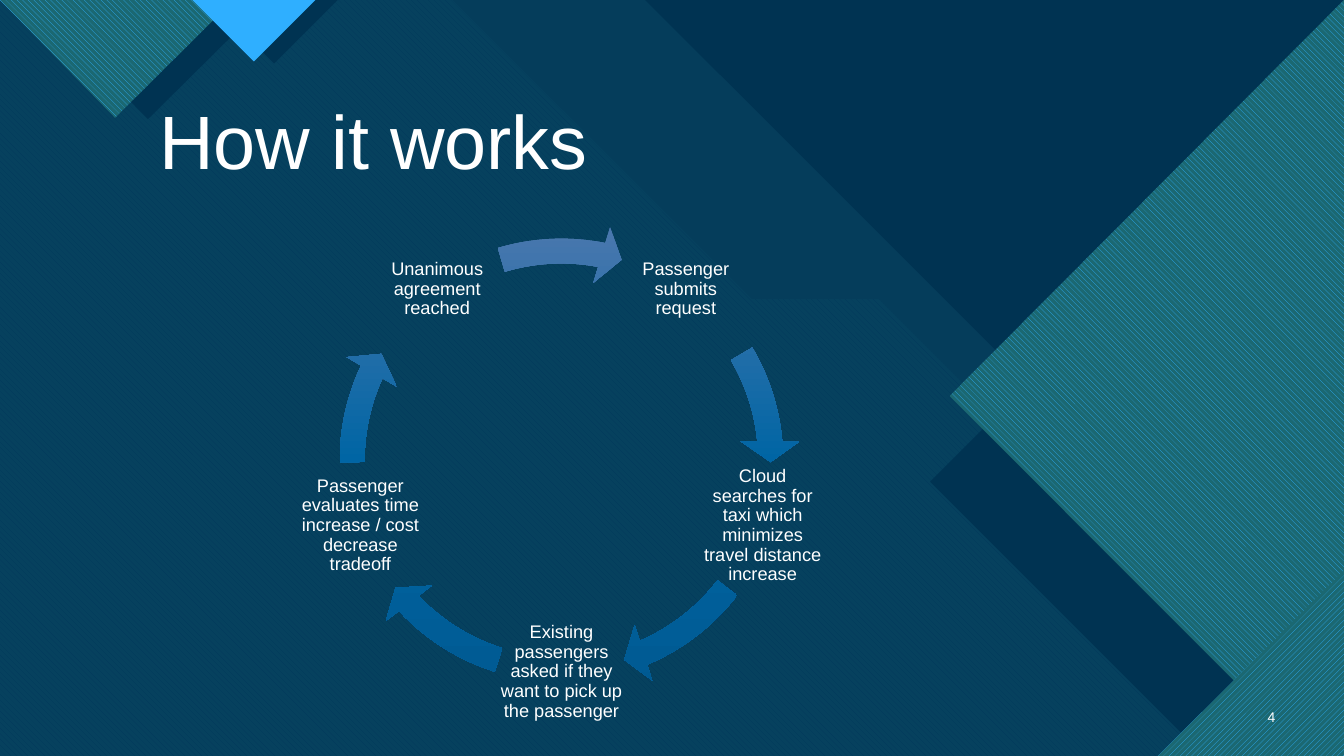
import copy
import math

import pptx
import pptx.dml.color
import pptx.enum.dml
import pptx.enum.shapes
import pptx.enum.text
import pptx.oxml
import pptx.util

Cm = pptx.util.Cm
Pt = pptx.util.Pt
RGBColor = pptx.dml.color.RGBColor
PATTERN = pptx.enum.dml.MSO_PATTERN
ALIGN = pptx.enum.text.PP_ALIGN
ANCHOR = pptx.enum.text.MSO_ANCHOR

# Content
TITLE = "How it works"
PAGE_NUMBER = "4"
# Step wording, then the start and end angle of the arrow that leaves it
STEPS = [
    ("Passenger submits request", 329.43, 354.89),
    ("Cloud searches for taxi which minimizes travel distance increase", 37.55, 66.92),
    ("Existing passengers asked if they want to pick up the passenger", 107.49, 136.85),
    ("Passenger evaluates time increase / cost decrease tradeoff", 179.51, 204.97),
    ("Unanimous agreement reached", 253.3, 281.1),
]

# Colours and font
FONT = "Arial"
WHITE = RGBColor(0xFF, 0xFF, 0xFF)
BASE = RGBColor(0x0C, 0x43, 0x60)
NAVY = RGBColor(0x00, 0x33, 0x52)
TEAL = RGBColor(0x47, 0xC3, 0xD3)
DEEP_TEAL = RGBColor(0x1B, 0x68, 0x72)
SKY = RGBColor(0x2F, 0xAF, 0xFF)
BLUE = RGBColor(0x00, 0x65, 0xA4)
ARROW_TOP = RGBColor(0x4B, 0x78, 0xAE)
ARROW_BOTTOM = RGBColor(0x00, 0x5A, 0x92)

# Geometry in centimetres
WIDTH, HEIGHT = 33.87, 19.05
CENTRE_X, CENTRE_Y = 14.15, 11.6
RADIUS, NODE_SIZE, RING_SIZE = 5.33, 3.2, 12.01

# Backdrop, back to front: points, colour, opacity in percent or (pattern, back colour)
DOWN = PATTERN.WIDE_DOWNWARD_DIAGONAL
UP = PATTERN.WIDE_UPWARD_DIAGONAL
BOTTOM = [(WIDTH, HEIGHT), (0, HEIGHT)]
BACKDROP = [
    ([(0, 0), (WIDTH, 0)] + BOTTOM, BASE, 100),
    ([(0, 0), (20.98, 0), (28.52, 7.54), (31.37, 7.54), (WIDTH, 10.06)] + BOTTOM, TEAL, 74),
    ([(0, 0), (11.4, 0), (18.95, 7.54), (22.15, 7.54), (33.66, HEIGHT), (0, HEIGHT)],
     BLUE, (DOWN, TEAL)),
    ([(16.26, 0), (WIDTH, 0), (WIDTH, 17.6)], NAVY, 100),
    ([(0, 0), (17.65, 0), (25.2, 7.54), (28.4, 7.54), (WIDTH, 13.03)] + BOTTOM, NAVY, 90),
    ([(WIDTH, 1.73), (WIDTH, HEIGHT), (30.35, HEIGHT), (23.44, 12.14)], NAVY, 100),
    ([(WIDTH, 0), (WIDTH, HEIGHT), (33, HEIGHT), (23.93, 9.98)], SKY, (DOWN, DEEP_TEAL)),
    ([(WIDTH, 15.6), (WIDTH, HEIGHT), (30.4, HEIGHT)], NAVY, 100),
    ([(WIDTH, 14.38), (WIDTH, HEIGHT), (29.18, HEIGHT)], SKY, (UP, DEEP_TEAL)),
    ([(0.74, 0), (3.73, 3), (6.76, 0)], NAVY, 100),
    ([(0, 0), (2.9, 2.97), (5.89, 0)], SKY, (DOWN, DEEP_TEAL)),
    ([(5.31, 0), (6.91, 1.6), (8.51, 0)], NAVY, 100),
    ([(4.85, 0), (6.4, 1.55), (7.95, 0)], SKY, 100),
]


def add_panel(slide, points, colour, finish):
    corners = [(Cm(x), Cm(y)) for x, y in points]
    builder = slide.shapes.build_freeform(*corners[0])
    builder.add_line_segments(corners[1:], close=True)
    shape = builder.convert_to_shape()
    shape.shadow.inherit = False
    shape.line.fill.background()
    if isinstance(finish, tuple):
        shape.fill.patterned()
        shape.fill.pattern, shape.fill.back_color.rgb = finish
        shape.fill.fore_color.rgb = colour
        return
    shape.fill.solid()
    shape.fill.fore_color.rgb = colour
    if finish < 100:
        colour_element = shape.element.spPr.find(".//" + pptx.oxml.ns.qn("a:srgbClr"))
        alpha = pptx.oxml.parse_xml("<a:alpha %s/>" % pptx.oxml.ns.nsdecls("a"))
        alpha.set("val", str(finish * 1000))
        colour_element.append(alpha)


def write_text(shape, text, size, align, anchor, margin=None, spacing=None):
    frame = shape.text_frame
    frame.word_wrap = True
    frame.auto_size = pptx.enum.text.MSO_AUTO_SIZE.NONE
    frame.vertical_anchor = anchor
    if margin is not None:
        frame.margin_left = frame.margin_right = Cm(margin)
        frame.margin_top = frame.margin_bottom = Cm(margin)
    paragraph = frame.paragraphs[0]
    paragraph.alignment = align
    paragraph.line_spacing = spacing
    run = paragraph.add_run()
    run.text = text
    run.font.name = FONT
    run.font.size = Pt(size)
    run.font.color.rgb = WHITE


def add_ring_arrow(slide, start, end):
    arrow = slide.shapes.add_shape(
        pptx.enum.shapes.MSO_SHAPE.CIRCULAR_ARROW,
        Cm(CENTRE_X - RING_SIZE / 2), Cm(CENTRE_Y - RING_SIZE / 2),
        Cm(RING_SIZE), Cm(RING_SIZE))
    arrow.shadow.inherit = False
    arrow.line.fill.background()
    # Angles are stored in 60000ths of a degree, adjustments in 100000ths
    for index, value in enumerate((0.052, 5.6 * 0.6, end * 0.6, start * 0.6, 0.061)):
        arrow.adjustments[index] = value
    arrow.fill.gradient()
    arrow.fill.gradient_angle = 270
    first = arrow.element.spPr.find(".//" + pptx.oxml.ns.qn("a:gs"))
    first.addnext(copy.deepcopy(first))
    stops = zip(arrow.fill.gradient_stops, (0, 0.5, 1), (ARROW_TOP, BLUE, ARROW_BOTTOM))
    for stop, position, colour in stops:
        stop.position = position
        stop.color.rgb = colour


presentation = pptx.Presentation()
presentation.slide_width, presentation.slide_height = Cm(WIDTH), Cm(HEIGHT)
slide = presentation.slides.add_slide(presentation.slide_layouts[5])

# Backdrop
for points, colour, finish in BACKDROP:
    add_panel(slide, points, colour, finish)

# Title, brought in front of the backdrop
title = slide.shapes.title
title.left, title.top, title.width, title.height = Cm(3.76), Cm(2.41), Cm(21.62), Cm(2.39)
write_text(title, TITLE, 54, ALIGN.LEFT, ANCHOR.BOTTOM, spacing=0.9)
slide.shapes._spTree.append(title.element)

# Page number
number = slide.shapes.add_textbox(Cm(31.27), Cm(17.55), Cm(1.12), Cm(1.02))
write_text(number, PAGE_NUMBER, 10, ALIGN.RIGHT, ANCHOR.MIDDLE)

# Cycle: steps spaced evenly round the ring, each followed by its arrow
for index, (wording, start, end) in enumerate(STEPS):
    angle = math.radians(-54 + index * 360 / len(STEPS))
    left = CENTRE_X + RADIUS * math.cos(angle) - NODE_SIZE / 2
    top = CENTRE_Y + RADIUS * math.sin(angle) - NODE_SIZE / 2
    node = slide.shapes.add_textbox(Cm(left), Cm(top), Cm(NODE_SIZE), Cm(NODE_SIZE))
    write_text(node, wording, 13, ALIGN.CENTER, ANCHOR.MIDDLE, margin=0.05, spacing=0.9)
    add_ring_arrow(slide, start, end)

presentation.save("out.pptx")
